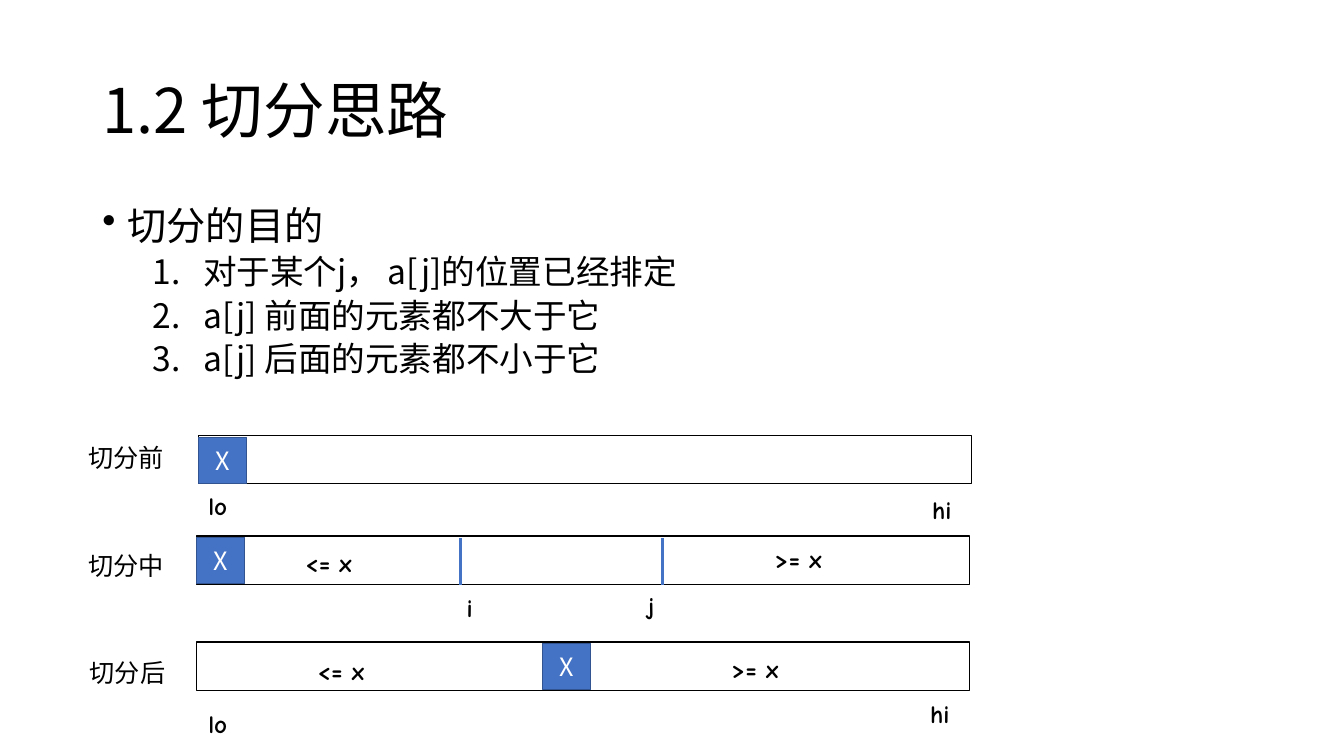
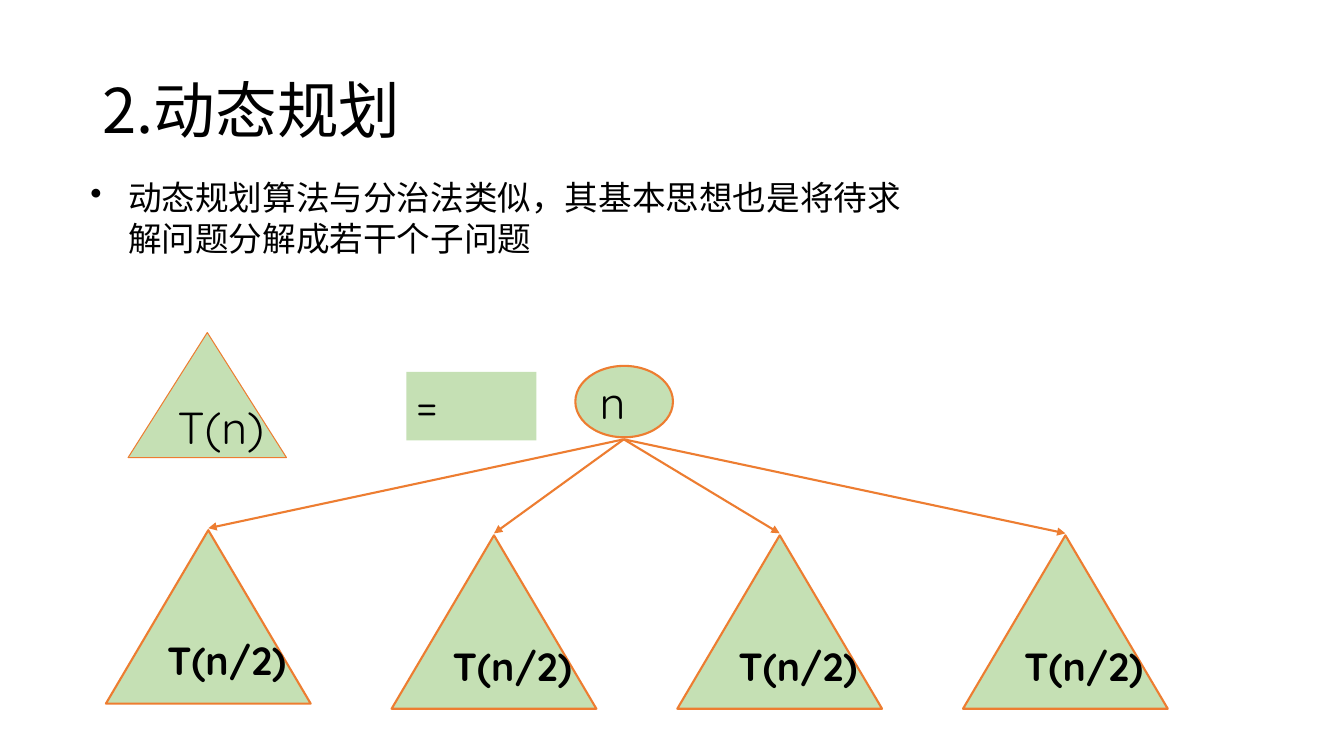
"""Build two slides on array partitioning and dynamic programming."""
from dataclasses import dataclass

from lxml import etree
from pptx import Presentation
from pptx.dml.color import RGBColor
from pptx.enum.shapes import MSO_CONNECTOR, MSO_SHAPE
from pptx.enum.text import MSO_ANCHOR, PP_ALIGN
from pptx.oxml.ns import qn
from pptx.util import Cm, Pt

RECT, OVAL, TRIANGLE = MSO_SHAPE.RECTANGLE, MSO_SHAPE.OVAL, MSO_SHAPE.ISOSCELES_TRIANGLE
STRAIGHT = MSO_CONNECTOR.STRAIGHT
LEFT, CENTER = PP_ALIGN.LEFT, PP_ALIGN.CENTER
TOP, MIDDLE = MSO_ANCHOR.TOP, MSO_ANCHOR.MIDDLE
TITLE_ONLY = 5
CJK, COMIC, ROUND = "Noto Sans CJK SC", "Comic Neue", "Quicksand"


@dataclass(frozen=True)
class Theme:
    black: str = "000000"
    white: str = "FFFFFF"
    blue: str = "4472C4"
    navy: str = "325491"
    orange: str = "ED7D31"
    green: str = "C5E0B4"
    title: tuple = (CJK, 44, "000000", False)
    lead: tuple = (CJK, 28, "000000", False)
    point: tuple = (CJK, 24, "000000", False)
    label: tuple = (CJK, 18, "000000", False)
    pivot: tuple = (CJK, 18, "FFFFFF", False)
    mark: tuple = (COMIC, 18, "000000", True)
    node: tuple = (ROUND, 32, "000000", False)
    leaf: tuple = (ROUND, 28, "000000", True)


T = Theme()


def write(p, text, style, align=LEFT):
    font, size, color, bold = style
    p.text, p.alignment = text, align
    p.font.name, p.font.size, p.font.bold = font, Pt(size), bold
    p.font.color.rgb = RGBColor.from_string(color)
    rpr = p._p.pPr.find(qn("a:defRPr"))
    etree.SubElement(rpr, qn("a:ea"), typeface=font)


def put(s, kind, at, text="", style=T.label, fill=None, line=None, width=1,
        align=LEFT, anchor=MIDDLE, wrap=True):
    box = [Cm(v) for v in at]
    if kind is None:
        sp = s.shapes.add_textbox(*box)
    else:
        sp = s.shapes.add_shape(kind, *box)
        sp.shadow.inherit = False
        sp.fill.solid()
        sp.fill.fore_color.rgb = RGBColor.from_string(fill)
        if line:
            sp.line.color.rgb = RGBColor.from_string(line)
            sp.line.width = Pt(width)
        else:
            sp.line.fill.background()
    tf = sp.text_frame
    tf.word_wrap, tf.vertical_anchor = wrap, anchor
    if text:
        write(tf.paragraphs[0], text, style, align)
    return tf


prs = Presentation()
prs.slide_width, prs.slide_height = Cm(33.87), Cm(19.05)
slides = []
for text in ("1.2 切分思路", "2.动态规划"):
    s = prs.slides.add_slide(prs.slide_layouts[TITLE_ONLY])
    title = s.shapes.title
    title.left, title.top, title.width, title.height = Cm(2.33), Cm(1.01), Cm(29.21), Cm(3.68)
    title.text_frame.vertical_anchor = MIDDLE
    p = title.text_frame.paragraphs[0]
    write(p, text, T.title)
    p.line_spacing = 0.9
    slides.append(s)
partition, dynamic = slides

bullets = []
tf = put(partition, None, (2.33, 5.08, 29.21, 12.09), "切分的目的", T.lead, anchor=TOP)
p = tf.paragraphs[0]
p.line_spacing, p.space_before = 0.9, Pt(10)
bullets.append((p, 0.64, 0.64, "buChar", {"char": "•"}))
for text in ("对于某个j， a[j]的位置已经排定", "a[j] 前面的元素都不大于它", "a[j] 后面的元素都不小于它"):
    p = tf.add_paragraph()
    write(p, text, T.point)
    p.level, p.line_spacing, p.space_before = 1, 0.9, Pt(5)
    bullets.append((p, 2.54, 1.27, "buAutoNum", {"type": "arabicPeriod"}))

tf = put(dynamic, None, (2.03, 4.34, 21.59, 11.43),
         "动态规划算法与分治法类似，其基本思想也是将待求解问题分解成若干个子问题", T.point, anchor=TOP)
bullets.append((tf.paragraphs[0], 0.95, 0.95, "buChar", {"char": "•"}))

for p, margin, hang, tag, attrs in bullets:
    ppr = p._p.pPr
    ppr.set("marL", str(Cm(margin)))
    ppr.set("indent", str(-Cm(hang)))
    bullet = etree.Element(qn("a:" + tag), **attrs)
    ppr.find(qn("a:defRPr")).addprevious(bullet)

rows = [
    ("切分前", 1.98, 11.02, 5.0, 10.97, 5.0, 11.02),
    ("切分中", 1.98, 13.74, 4.95, 13.51, 4.95, 13.54),
    ("切分后", 2.01, 16.43, 4.95, 16.18, 13.67, 16.21),
]
for text, label_x, label_y, bar_x, bar_y, pivot_x, pivot_y in rows:
    put(partition, None, (label_x, label_y, 2.97, 1.02), text, anchor=TOP)
    put(partition, RECT, (bar_x, bar_y, 19.48, 1.22), fill=T.white, line=T.black)
    put(partition, RECT, (pivot_x, pivot_y, 1.22, 1.17), "X", T.pivot, T.blue, T.navy, align=CENTER)

marks = [
    ("lo", 5.0, 12.24), ("hi", 23.24, 12.32), ("i", 11.51, 14.81), ("j", 16.08, 14.76),
    ("lo", 5.0, 17.73), ("hi", 23.19, 17.48), ("<= x", 7.44, 13.67), (">= x", 19.28, 13.56),
    ("<= x", 7.75, 16.38), (">= x", 18.19, 16.33),
]
for text, x, y in marks:
    width = 2.97 if "=" in text else 1.22
    put(partition, None, (x, y, width, 1.02), text, T.mark, anchor=TOP)

lines = [(partition, (x, 13.56, x, 14.73), T.blue, 2.5, False) for x in (11.61, 16.69)]

put(dynamic, TRIANGLE, (3.23, 8.38, 3.99, 3.15), "T(n)", T.node, T.green, T.orange, 0.75, wrap=False)
put(dynamic, RECT, (10.24, 9.37, 3.28, 1.73), "=", T.node, T.green, anchor=TOP)
put(dynamic, OVAL, (14.5, 9.22, 2.46, 1.8), "n", T.node, T.green, T.orange, 1.5, wrap=False)
for i, y in enumerate((13.36, 13.49, 13.49, 13.49)):
    x = 2.67 + 7.2 * i
    put(dynamic, TRIANGLE, (x, y, 5.16, 4.37), "T(n/2)", T.leaf, T.green, T.orange, 1.5, wrap=False)
    lines.append((dynamic, (15.72, 11.07, x + 2.58, y - 0.05), T.orange, 1.5, True))

for s, ends, color, width, arrow in lines:
    cx = s.shapes.add_connector(STRAIGHT, *[Cm(v) for v in ends])
    cx.line.color.rgb = RGBColor.from_string(color)
    cx.line.width = Pt(width)
    if arrow:
        etree.SubElement(cx.line._get_or_add_ln(), qn("a:tailEnd"), type="triangle")
    etree.SubElement(cx._element.spPr, qn("a:effectLst"))

prs.save("out.pptx")
